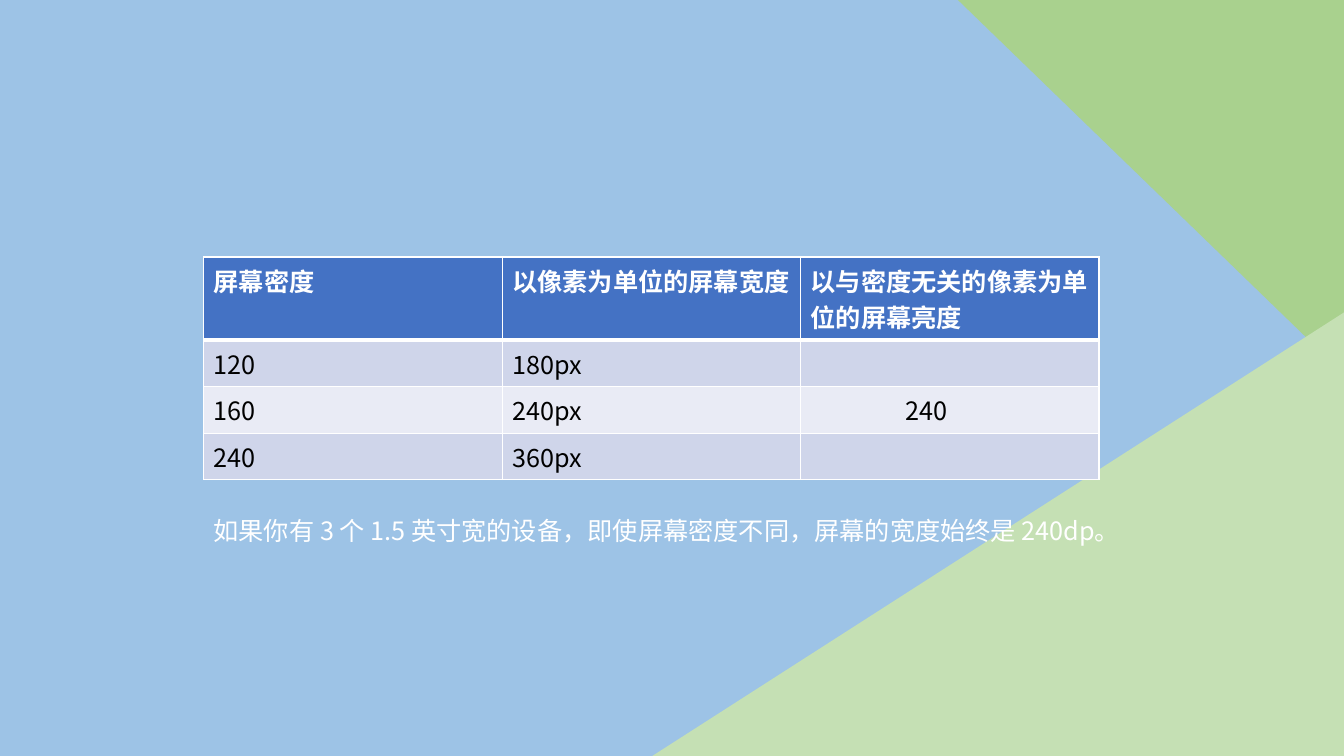
import pptx
import pptx.util
import pptx.dml.color
import pptx.enum.shapes
import pptx.oxml
import pptx.oxml.ns
import lxml.etree

Inches = pptx.util.Inches
Pt = pptx.util.Pt
RGBColor = pptx.dml.color.RGBColor

ROWS = [
    ("屏幕密度", "以像素为单位的屏幕宽度", "以与密度无关的像素为单位的屏幕亮度"),
    ("120", "180px", ""),
    ("160", "240px", "240"),
    ("240", "360px", ""),
]
NOTE = "如果你有 3 个 1.5 英寸宽的设备，即使屏幕密度不同，屏幕的宽度始终是 240dp。"

FONT = "Noto Sans CJK SC"
SKY = RGBColor(0x9D, 0xC3, 0xE6)
LEAF = RGBColor(0xA9, 0xD1, 0x8E)
PALE_LEAF = RGBColor(0xC5, 0xE0, 0xB4)
BLUE = RGBColor(0x44, 0x72, 0xC4)
BANDS = (RGBColor(0xE9, 0xEB, 0xF5), RGBColor(0xCF, 0xD5, 0xEA))
WHITE = RGBColor(0xFF, 0xFF, 0xFF)
BLACK = RGBColor(0, 0, 0)

TRIANGLES = [
    ((9.52, -0.58, 4.4, 4.99), 275.6, 0.902, LEAF),
    ((6.47, 3.1, 6.86, 4.4), 0, 1, PALE_LEAF),
]
LEFT, TABLE_TOP, NOTE_TOP = 2.02, 2.55, 5.06
COLUMN_WIDTH, HEADER_HEIGHT, ROW_HEIGHT = 2.96, 0.82, 0.46
SHARED_VALUE_INDENT = 1.04


def add_span(para, text, color, bold=False):
    span = para.add_run()
    span.text = text
    span.font.size = Pt(18)
    span.font.name = FONT
    span.font.bold = bold
    span.font.color.rgb = color
    east = lxml.etree.SubElement(span.font._element, pptx.oxml.ns.qn("a:ea"))
    east.set("typeface", FONT)


def add_borders(cell, bottom):
    properties = cell._tc.get_or_add_tcPr()
    widths = {"lnL": 1, "lnR": 1, "lnT": 1, "lnB": bottom}
    for position, (side, width) in enumerate(widths.items()):
        border = pptx.oxml.parse_xml(
            f'<a:{side} {pptx.oxml.ns.nsdecls("a")} w="{Pt(width)}">'
            f'<a:solidFill><a:srgbClr val="{WHITE}"/></a:solidFill></a:{side}>'
        )
        properties.insert(position, border)


def add_triangle(page, place, rotation, apex, color):
    kind = pptx.enum.shapes.MSO_SHAPE.ISOSCELES_TRIANGLE
    triangle = page.shapes.add_shape(kind, *map(Inches, place))
    triangle.rotation = rotation
    triangle.adjustments[0] = apex
    triangle.fill.solid()
    triangle.fill.fore_color.rgb = color
    triangle.line.fill.background()
    triangle.shadow.inherit = False


def add_density_table(page):
    heights = [HEADER_HEIGHT] + [ROW_HEIGHT] * (len(ROWS) - 1)
    columns = len(ROWS[0])
    table = page.shapes.add_table(
        len(ROWS), columns, Inches(LEFT), Inches(TABLE_TOP),
        Inches(COLUMN_WIDTH * columns), Inches(sum(heights)),
    ).table
    for column in table.columns:
        column.width = Inches(COLUMN_WIDTH)
    for index, (texts, height) in enumerate(zip(ROWS, heights)):
        header = index == 0
        table.rows[index].height = Inches(height)
        for number, text in enumerate(texts):
            cell = table.cell(index, number)
            cell.fill.solid()
            cell.fill.fore_color.rgb = BLUE if header else BANDS[index % 2]
            add_borders(cell, 3 if header else 1)
            if text:
                add_span(cell.text_frame.paragraphs[0], text,
                         WHITE if header else BLACK, header)
    table.cell(2, 2).margin_left = Inches(SHARED_VALUE_INDENT)


def add_note(page):
    box = page.shapes.add_textbox(
        Inches(LEFT), Inches(NOTE_TOP), Inches(9.3), Inches(0.4))
    box.text_frame.word_wrap = True
    para = box.text_frame.paragraphs[0]
    add_span(para, NOTE, WHITE)


def main():
    deck = pptx.Presentation()
    deck.slide_width, deck.slide_height = Inches(13.33), Inches(7.5)
    page = deck.slides.add_slide(deck.slide_layouts[6])
    page.background.fill.solid()
    page.background.fill.fore_color.rgb = SKY
    for triangle in TRIANGLES:
        add_triangle(page, *triangle)
    add_density_table(page)
    add_note(page)
    deck.save("out.pptx")


if __name__ == "__main__":
    main()
